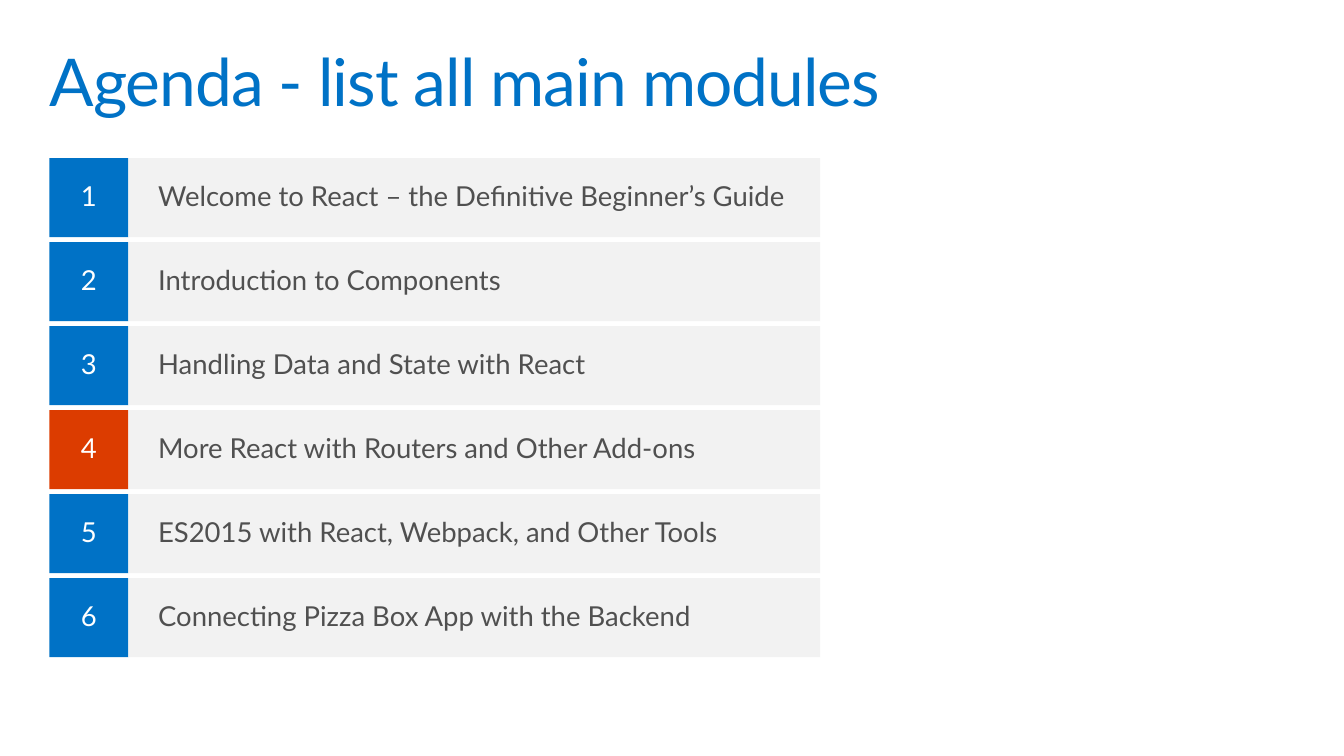
from dataclasses import dataclass

from pptx import Presentation
from pptx.dml.color import RGBColor as RGB
from pptx.enum.shapes import MSO_SHAPE as SHAPE
from pptx.enum.text import MSO_ANCHOR as ANCHOR, PP_ALIGN as ALIGN
from pptx.util import Inches, Pt


@dataclass(frozen=True)
class Theme:
    font: str = "Lato"
    title_size: int = 48
    body_size: int = 20
    accent: str = "0072C6"
    highlight: str = "DC3C00"
    panel: str = "F2F2F2"
    text: str = "505050"
    light: str = "FFFFFF"
    line_spacing: float = 0.9


class AgendaSlide:
    """Draws themed elements on one slide, placed on a grid of 136 columns by 153 rows."""

    COLS, ROWS = 136, 153

    def __init__(self, prs, theme):
        self.theme = theme
        self.slide = prs.slides.add_slide(prs.slide_layouts[5])
        self.col = prs.slide_width / self.COLS
        self.row = prs.slide_height / self.ROWS

    def box(self, col, row, cols, rows):
        return (round(col * self.col), round(row * self.row),
                round(cols * self.col), round(rows * self.row))

    def set_text(self, sp, text, size, color, align, anchor, pad):
        tf = sp.text_frame
        tf.text = text
        tf.word_wrap = True
        tf.vertical_anchor = anchor
        tf.margin_left = tf.margin_right = Inches(pad[0])
        tf.margin_top = tf.margin_bottom = Inches(pad[1])
        p = tf.paragraphs[0]
        p.alignment = align
        p.line_spacing = self.theme.line_spacing
        r = p.runs[0]
        r.font.name = self.theme.font
        r.font.size = Pt(size)
        r.font.color.rgb = RGB.from_string(color)
        return r

    def title(self, text, box):
        sp = self.slide.shapes.title
        sp.left, sp.top, sp.width, sp.height = self.box(*box)
        r = self.set_text(sp, text, self.theme.title_size, self.theme.accent,
                          ALIGN.LEFT, ANCHOR.TOP, (0.1, 0.1))
        r.font._element.set("spc", "-70")

    def tile(self, text, box, fill, color, align, pad):
        sp = self.slide.shapes.add_shape(SHAPE.RECTANGLE, *self.box(*box))
        sp.shadow.inherit = False
        sp.fill.solid()
        sp.fill.fore_color.rgb = RGB.from_string(fill)
        sp.line.fill.background()
        self.set_text(sp, text, self.theme.body_size, color, align, ANCHOR.MIDDLE, pad)

    def agenda(self, modules, current, col, row, number_cols, label_cols, rows, gap):
        t = self.theme
        for i, module in enumerate(modules):
            top = row + i * (rows + gap)
            fill = t.highlight if i + 1 == current else t.accent
            self.tile(str(i + 1), (col, top, number_cols, rows), fill, t.light,
                      ALIGN.CENTER, (0.2, 0.16))
            self.tile(module, (col + number_cols, top, label_cols, rows), t.panel, t.text,
                      ALIGN.LEFT, (0.3, 0.1))


MODULES = [
    "Welcome to React – the Definitive Beginner’s Guide",
    "Introduction to Components",
    "Handling Data and State with React",
    "More React with Routers and Other Add-ons",
    "ES2015 with React, Webpack, and Other Tools",
    "Connecting Pizza Box App with the Backend",
]


def main():
    prs = Presentation()
    prs.slide_width, prs.slide_height = Inches(13.6), Inches(7.65)
    s = AgendaSlide(prs, Theme())
    s.title("Agenda - list all main modules", (4, 8, 128, 20))
    s.agenda(MODULES, current=4, col=5, row=32, number_cols=8, label_cols=70, rows=16, gap=1)
    prs.save("out.pptx")


if __name__ == "__main__":
    main()
